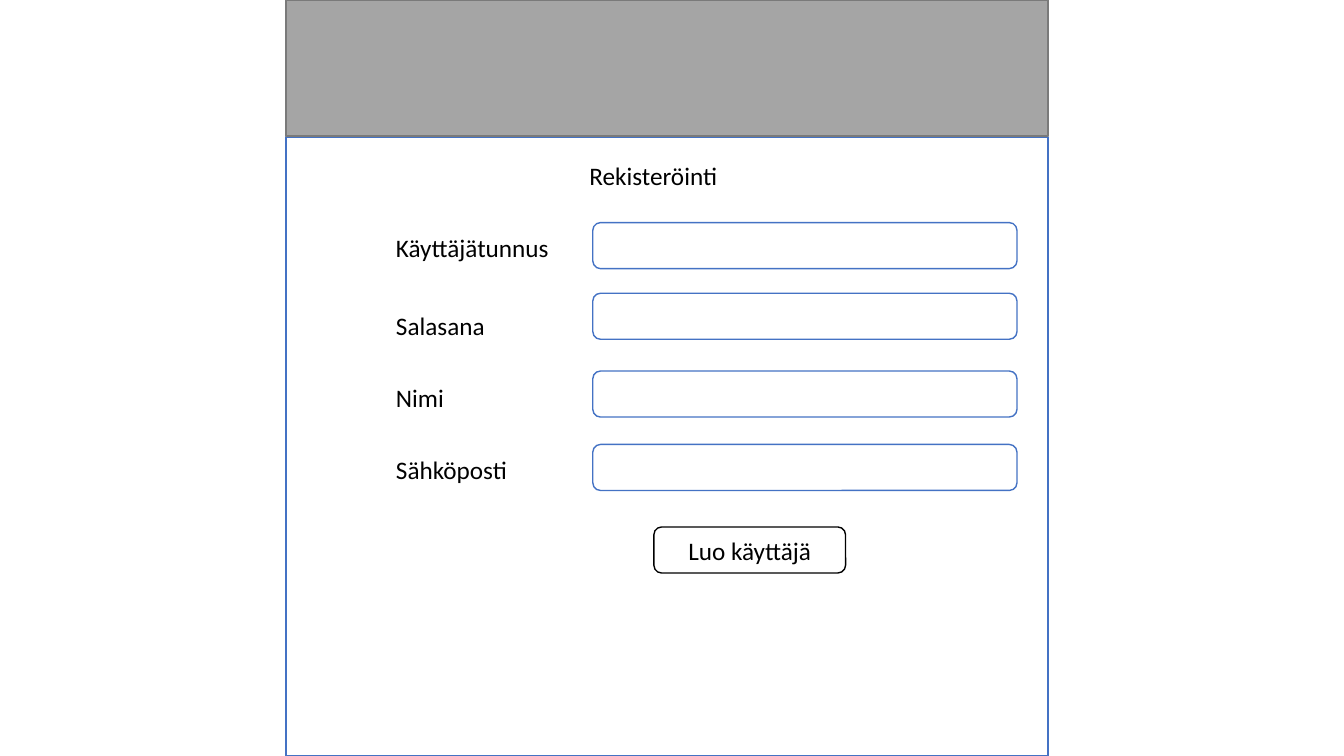
import pptx
import pptx.util
import pptx.dml.color
import pptx.enum.shapes
import pptx.enum.text

Cm, Pt = pptx.util.Cm, pptx.util.Pt
Kind = pptx.enum.shapes.MSO_SHAPE
Align = pptx.enum.text.PP_ALIGN
Anchor = pptx.enum.text.MSO_ANCHOR
Fit = pptx.enum.text.MSO_AUTO_SIZE

HUES = {"white": "FFFFFF", "black": "000000", "blue": "4472C4",
        "gray": "A5A5A5", "edge": "7A7A7A"}
FONT = {"name": "Calibri", "size": Pt(18), "bold": False}
LABEL = {"word_wrap": False, "auto_size": Fit.SHAPE_TO_FIT_TEXT,
         "vertical_anchor": Anchor.TOP}
BUTTON = {"word_wrap": True, "vertical_anchor": Anchor.MIDDLE}

# Label, label top, label width, field top (cm)
ROWS = [("Käyttäjätunnus", 5.74, 4.42, 5.61),
        ("Salasana", 7.7, 2.77, 7.39),
        ("Nimi", 9.5, 1.73, 9.35),
        ("Sähköposti", 11.33, 3.33, 11.2)]


def hue(name):
    """Return the named colour."""
    return pptx.dml.color.RGBColor.from_string(HUES[name])


def apply(item, form):
    """Set each format value on the item."""
    for key, value in form.items():
        setattr(item, key, value)


def write(shape, text, form, align=Align.LEFT):
    """Put one formatted line of text in a shape."""
    frame = shape.text_frame
    frame.text = text
    apply(frame, form)
    line = frame.paragraphs[0]
    apply(line, {"alignment": align, "line_spacing": 1.0,
                 "space_before": Pt(0)})
    font = line.runs[0].font
    apply(font, FONT)
    font.color.rgb = hue("black")


def add_box(slide, kind, area, fill, edge):
    """Add a filled, outlined shape; area is in cm."""
    box = slide.shapes.add_shape(kind, *map(Cm, area))
    box.shadow.inherit = False
    box.fill.solid()
    box.fill.fore_color.rgb = hue(fill)
    box.line.color.rgb = hue(edge)
    box.line.width = Pt(1)
    return box


def add_row(slide, text, top, width, field):
    """Add an input field and its label."""
    add_box(slide, Kind.ROUNDED_RECTANGLE, (14.94, field, 10.69, 1.16),
            "white", "blue")
    label = slide.shapes.add_textbox(*map(Cm, (9.73, top, width, 1.02)))
    write(label, text, LABEL)


def set_title(slide, text):
    """Place the title in front of the page panel."""
    title = slide.shapes.title
    apply(title, {"left": Cm(14.6), "top": Cm(3.91),
                  "width": Cm(3.76), "height": Cm(1.02)})
    write(title, text, LABEL)
    title.element.getparent().append(title.element)


def main():
    """Build the sign-up form slide."""
    deck = pptx.Presentation()
    apply(deck, {"slide_width": Cm(33.87), "slide_height": Cm(19.05)})
    slide = deck.slides.add_slide(deck.slide_layouts[5])
    add_box(slide, Kind.RECTANGLE, (7.21, 3.45, 19.2, 15.6), "white", "blue")
    add_box(slide, Kind.RECTANGLE, (7.21, 0, 19.2, 3.43), "gray", "edge")
    for row in ROWS:
        add_row(slide, *row)
    set_title(slide, "Rekisteröinti")
    button = add_box(slide, Kind.ROUNDED_RECTANGLE,
                     (16.48, 13.28, 4.83, 1.16), "white", "black")
    write(button, "Luo käyttäjä", BUTTON, Align.CENTER)
    deck.save("out.pptx")


main()
